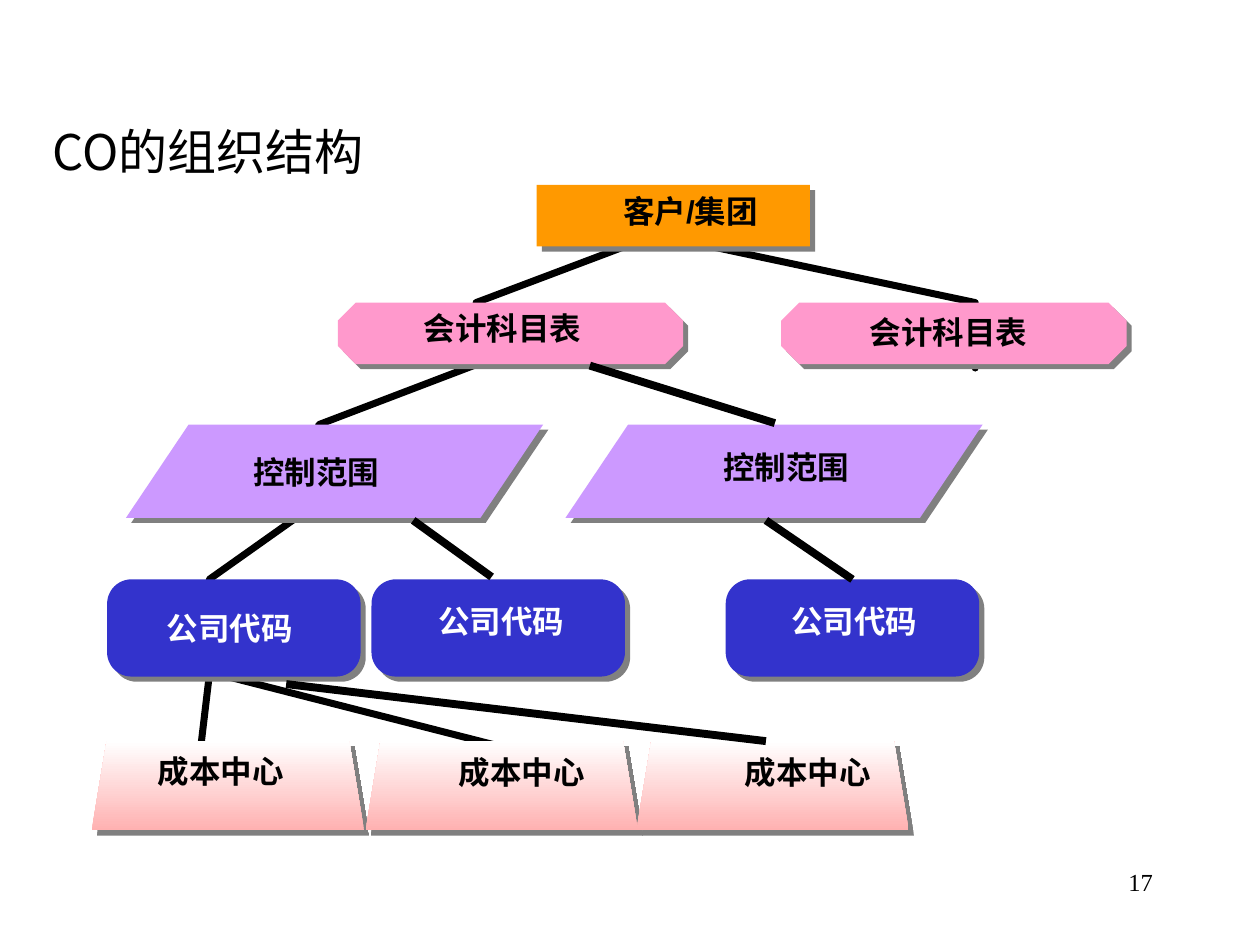
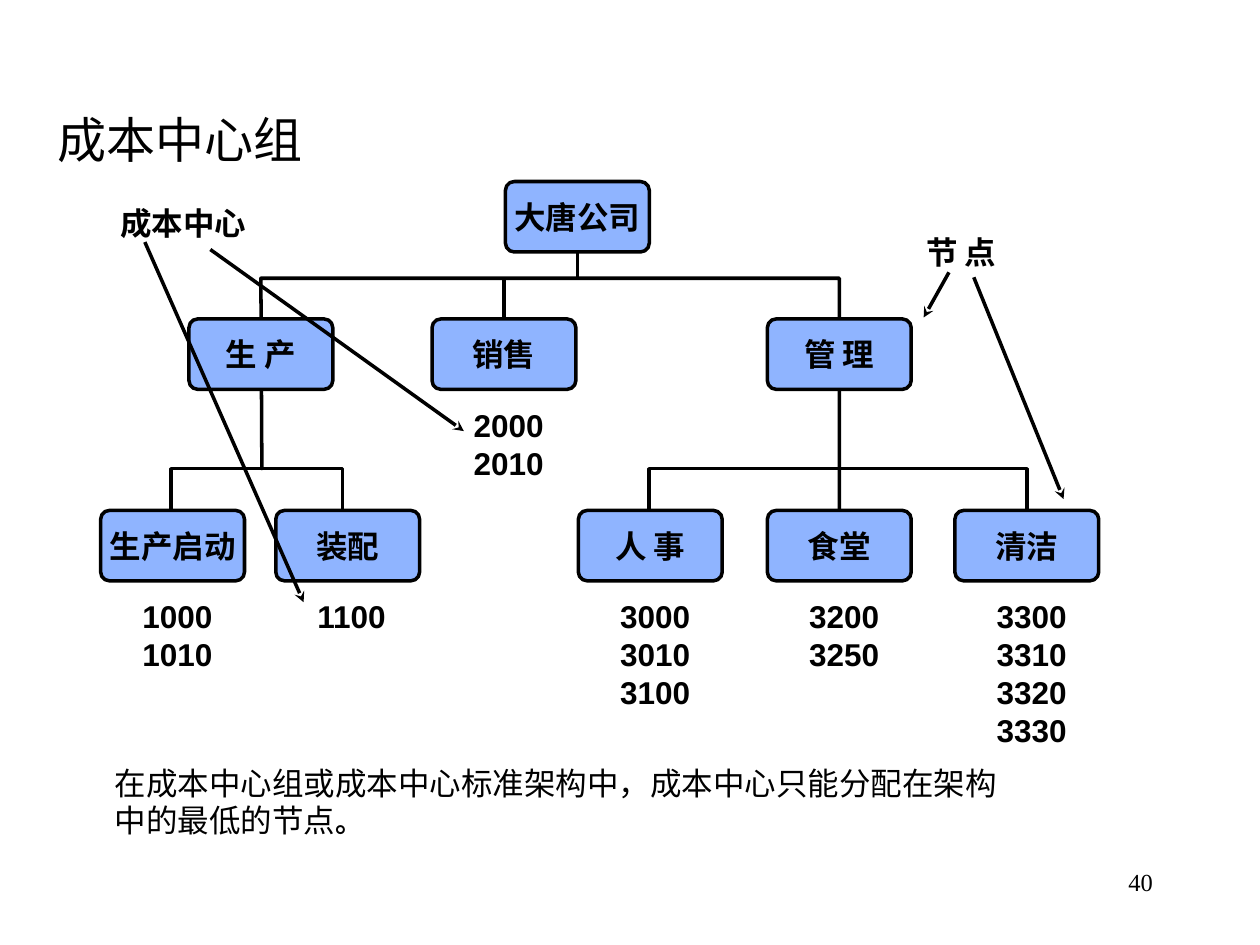
from lxml import etree
from pptx import Presentation
from pptx import util as u
from pptx.dml.color import RGBColor
from pptx.enum import shapes as kinds, text as t
from pptx.oxml.ns import qn

Cm = u.Cm
hues = {
    "black": "000000", "white": "FFFFFF", "grey": "808080",
    "orange": "FF9900", "pink": "FF99CC", "purple": "CC99FF",
    "navy": "3333CC", "rose": "FFB1B1", "sky": "8FB4FF",
}
rgb = {name: RGBColor.from_string(code) for name, code in hues.items()}
form = kinds.MSO_SHAPE
align = t.PP_ALIGN
cjk = "Noto Sans CJK SC"


def letter(box, words, size=18, bold=True, hue="black", face="Arial", side=align.LEFT, wrap=True):
    frame = box.text_frame
    frame.text = words
    frame.word_wrap = wrap
    for para in frame.paragraphs:
        para.alignment = side
        for run in para.runs:
            font = run.font
            font.size = u.Pt(size)
            font.bold = bold
            font.color.rgb = rgb[hue]
            font.name = face
            etree.SubElement(font._element, qn("a:ea"), typeface=cjk)
    return frame


def stroke(page, spots, width, arrow=False):
    spots = [(Cm(x), Cm(y)) for x, y in spots]
    if len(spots) == 2:
        item = page.shapes.add_connector(kinds.MSO_CONNECTOR.STRAIGHT, *spots[0], *spots[1])
        etree.SubElement(item._element.spPr, qn("a:effectLst"))
    else:
        pen = page.shapes.build_freeform(*spots[0])
        pen.add_line_segments(spots[1:], close=False)
        item = pen.convert_to_shape()
        item.shadow.inherit = False
        item.fill.background()
        item.line._get_or_add_ln().set("cap", "rnd")
    item.line.width = u.Pt(width)
    item.line.color.rgb = rgb["black"]
    if arrow:
        etree.SubElement(item.line._get_or_add_ln(), qn("a:tailEnd"), type="stealth")
    return item


deck = Presentation()
deck.slide_width, deck.slide_height = Cm(25.4), Cm(19.05)
pages = []
for title, face, place, number in [
    ("CO的组织结构", cjk, (0.81, 2.11, 8.89, 1.88), "17"),
    ("成本中心组", "Times New Roman", (0.91, 1.75, 8.69, 2.11), "40"),
]:
    page = deck.slides.add_slide(deck.slide_layouts[6])
    head = page.shapes.add_textbox(*map(Cm, place))
    letter(head, title, 28, False, face=face).vertical_anchor = t.MSO_ANCHOR.MIDDLE
    foot = page.shapes.add_textbox(Cm(18.21), Cm(17.35), Cm(5.28), Cm(1.27))
    letter(foot, number, 14, False, face="Times New Roman", side=align.RIGHT)
    pages.append(page)
org, group = pages

stroke(org, [(14, 4.9), (19.66, 6.1), (19.66, 7.42)], 4)
stroke(org, [(12.57, 4.98), (9.6, 6.1), (9.63, 7.34), (6.43, 8.56),
             (5.97, 10.44), (4.22, 11.68), (4.22, 13.61), (4.06, 14.96)], 4)
stroke(org, [(4.39, 13.59), (10.26, 15.09)], 4)

blocks = []
for kind, bend, hue, lefts, top, wide, high in [
    (form.RECTANGLE, None, "orange", [10.82], 3.73, 5.51, 1.24),
    (form.OCTAGON, 0.293, "pink", [6.81, 15.75], 6.1, 6.96, 1.24),
    (form.ROUNDED_RECTANGLE, 0.251, "navy", [2.16, 7.49, 14.63], 11.68, 5.11, 1.96),
    (None, None, "rose", [1.85, 7.37, 12.83], 14.94, 5.49, 1.8),
    (form.PARALLELOGRAM, 0.672, "purple", [2.54, 11.4], 8.56, 8.41, 1.88),
]:
    for left in lefts:
        if kind is None:
            low, right = top + high, left + wide
            pen = org.shapes.build_freeform(Cm(left), Cm(low))
            pen.add_line_segments([(Cm(x), Cm(y)) for x, y in [
                (right, low), (right - 0.3, top), (left + 0.3, top)]])
            block = pen.convert_to_shape()
            block.fill.gradient()
            block.fill.gradient_angle = 90
            for stop, tint in zip(block.fill.gradient_stops, ["rose", "white"]):
                stop.color.rgb = rgb[tint]
        else:
            block = org.shapes.add_shape(kind, *map(Cm, (left, top, wide, high)))
            block.fill.solid()
            block.fill.fore_color.rgb = rgb[hue]
            if bend:
                block.adjustments[0] = bend
        block.line.fill.background()
        block.shadow.inherit = False
        glow = etree.SubElement(
            block._element.spPr.find(qn("a:effectLst")), qn("a:outerShdw"),
            dist=str(u.Pt(4.2)), dir="2700000", algn="ctr", rotWithShape="0")
        etree.SubElement(glow, qn("a:srgbClr"), val=hues["grey"])
        blocks.append(block)

for words, hue, side, wide, high, spots in [
    ("客户/集团", "black", align.CENTER, 6.2, 0.81, [(10.26, 3.96)]),
    ("会计科目表", "black", align.LEFT, 4.8, 0.74, [(7.42, 6.32), (16.41, 6.4)]),
    ("控制范围", "black", align.LEFT, 4.75, 0.89, [(3.99, 9.22), (13.46, 9.12)]),
    ("公司代码", "white", align.LEFT, 4.17, 1.22, [(2.24, 12.37), (7.72, 12.22), (14.83, 12.22)]),
    ("成本中心", "black", align.LEFT, 4.45, 1.6, [(2.06, 15.24), (8.13, 15.27), (13.89, 15.27)]),
]:
    for left, top in spots:
        tag = org.shapes.add_textbox(*map(Cm, (left, top, wide, high)))
        frame = letter(tag, words, hue=hue, side=side)
        frame.margin_left = frame.margin_right = frame.margin_top = frame.margin_bottom = 0
        para = frame.paragraphs[0]
        para.line_spacing = 0.9
        para._p.get_or_add_pPr().set("marL", str(Cm(1.12)))

for start, end in [
    ((8.33, 10.49), (9.91, 11.63)),
    ((11.89, 7.37), (15.62, 8.53)),
    ((5.77, 13.79), (15.44, 14.94)),
]:
    stroke(org, [start, end], 4.5)
stroke(org, [(15.44, 10.49), (17.19, 11.68)], 4.5).end_connect(blocks[5], 0)

for spots in [
    [(5.28, 9.45), (5.26, 5.61), (16.92, 5.61), (16.92, 10.72)],
    [(13.08, 10.9), (13.08, 9.45), (20.7, 9.45), (20.7, 11)],
    [(3.45, 10.9), (3.45, 9.45), (6.91, 9.45), (6.91, 11)],
]:
    stroke(group, spots, 2)

nodes = {}
for words, left, top, codes in [
    ("大唐公司", 10.19, 3.66, ""),
    ("生 产", 3.81, 6.43, ""),
    ("销售", 8.71, 6.43, "2000\n2010"),
    ("管 理", 15.47, 6.43, ""),
    ("生产启动", 2.03, 10.29, "1000\n1010"),
    ("装配", 5.56, 10.29, "1100"),
    ("人 事", 11.66, 10.29, "3000\n3010\n3100"),
    ("食堂", 15.47, 10.29, "3200\n3250"),
    ("清洁", 19.25, 10.29, "3300\n3310\n3320\n3330"),
]:
    node = group.shapes.add_shape(form.ROUNDED_RECTANGLE, *map(Cm, (left, top, 2.9, 1.42)))
    node.adjustments[0] = 0.125
    node.shadow.inherit = False
    node.fill.solid()
    node.fill.fore_color.rgb = rgb["sky"]
    node.line.color.rgb = rgb["black"]
    node.line.width = u.Pt(2)
    letter(node, words, side=align.CENTER, wrap=False).vertical_anchor = t.MSO_ANCHOR.MIDDLE
    nodes[words] = node
    if codes:
        high = 0.25 + 0.76 * len(codes.split())
        tag = group.shapes.add_textbox(*map(Cm, (left + 0.59, top + 1.63, 1.96, high)))
        letter(tag, codes, wrap=False)

stroke(group, [(11.64, 5.08), (11.64, 5.61)], 2).begin_connect(nodes["大唐公司"], 2)
stroke(group, [(10.16, 5.61), (10.16, 6.43)], 2).end_connect(nodes["销售"], 0)

note = group.shapes.add_textbox(Cm(2.06), Cm(15.27), Cm(18.64), Cm(1.78))
frame = letter(note, "在成本中心组或成本中心标准架构中，成本中心只能分配在架构中的最低的节点", bold=False)
dot = frame.paragraphs[0].add_run()
dot.text = "。"
dot.font.size, dot.font.bold, dot.font.name = u.Pt(16), True, "Arial"
dot.font.color.rgb = rgb["black"]
etree.SubElement(dot.font._element, qn("a:ea"), typeface=cjk)

for words, left, top, wide in [("节 点", 18.42, 4.57, 1.93), ("成本中心", 2.18, 3.99, 3.38)]:
    tag = group.shapes.add_textbox(*map(Cm, (left, top, wide, 1.02)))
    letter(tag, words, wrap=False)

for start, end in [
    ((19.13, 5.49), (18.62, 6.4)),
    ((19.63, 5.59), (21.44, 10.06)),
    ((4.24, 5.03), (9.35, 8.69)),
    ((2.92, 4.88), (6.12, 12.14)),
]:
    stroke(group, [start, end], 2, arrow=True)

deck.save("out.pptx")
